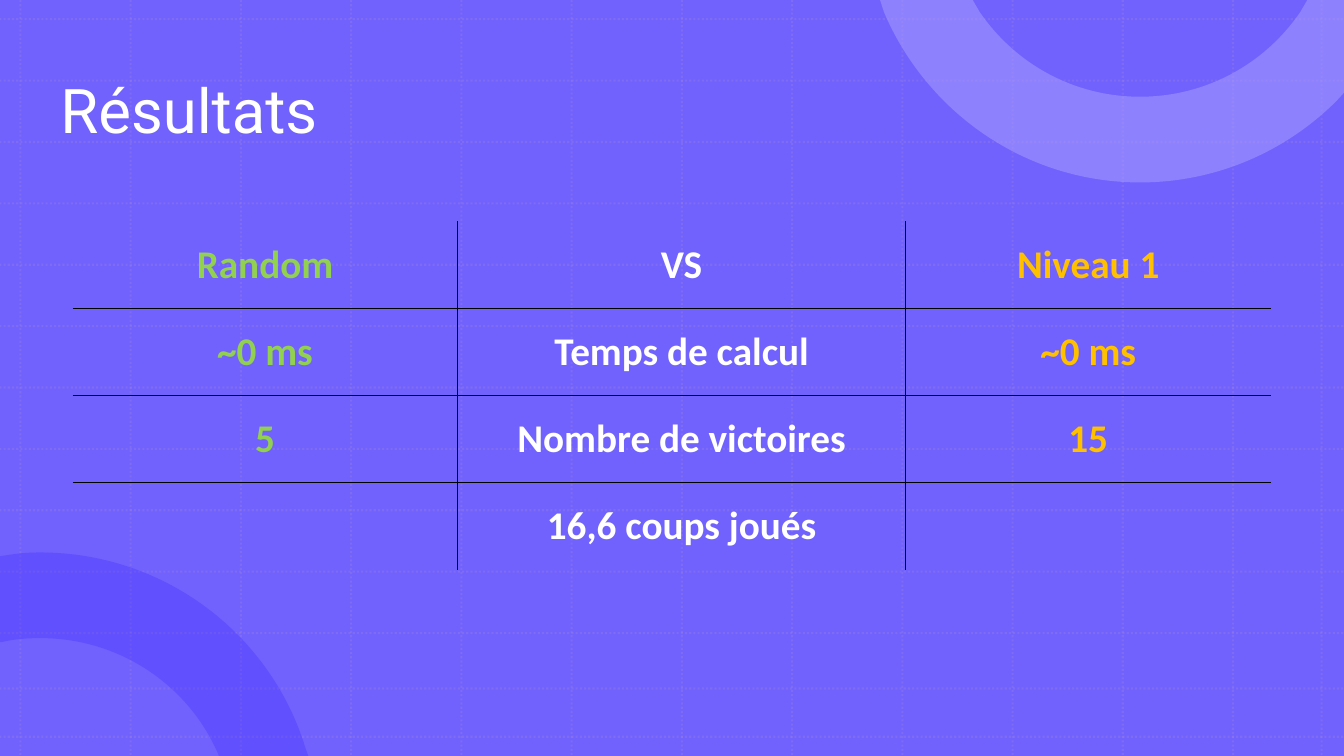
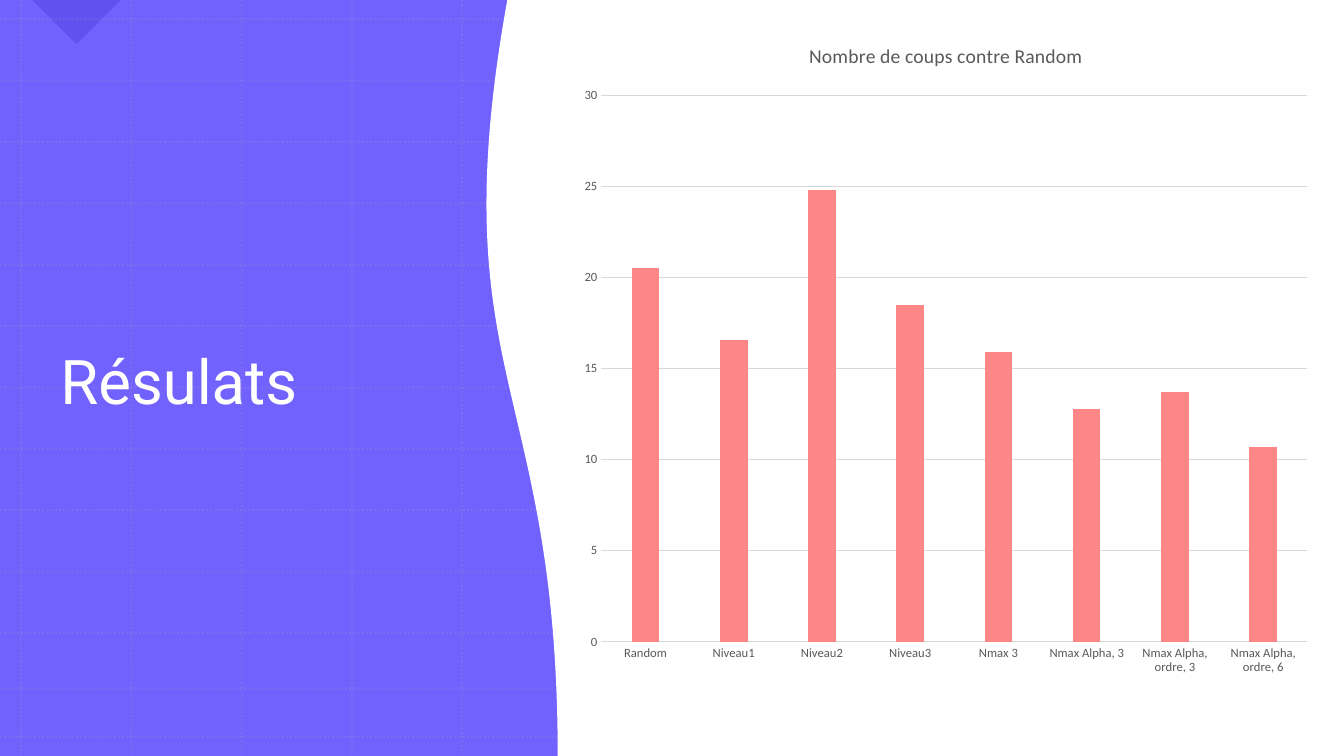
from dataclasses import dataclass

from lxml.etree import SubElement
from pptx import Presentation
from pptx.chart.data import CategoryChartData
from pptx.dml.color import RGBColor
from pptx.enum.chart import XL_CHART_TYPE, XL_TICK_MARK
from pptx.enum.dml import MSO_LINE
from pptx.enum.shapes import MSO_CONNECTOR, MSO_SHAPE
from pptx.enum.text import MSO_ANCHOR, PP_ALIGN
from pptx.oxml.ns import qn
from pptx.util import Pt


@dataclass(frozen=True)
class Theme:
    background: str = "7162FE"
    grid: str = "B495C2"
    dark_ring: str = "220BFD"
    light_ring: str = "AAA1FE"
    corner: str = "1201AF"
    white: str = "FFFFFF"
    border: str = "000000"
    green: str = "92D050"
    amber: str = "FFC000"
    bar: str = "FD8686"
    chart_text: str = "595959"
    chart_line: str = "D9D9D9"
    title_font: str = "Roboto"
    body_font: str = "Calibri"
    title_size: int = 44
    table_size: int = 28
    chart_title_size: int = 14
    axis_size: int = 9


theme = Theme()
WIDTH, HEIGHT = 960, 540


def paint(shape, colour, opacity=100):
    """Fill the shape plainly, with an opacity in percent and no line or shadow."""
    shape.shadow.inherit = False
    shape.line.fill.background()
    shape.fill.solid()
    shape.fill.fore_color.rgb = RGBColor.from_string(colour)
    if opacity < 100:
        for mark in shape.element.spPr.iter(qn("a:srgbClr")):
            SubElement(mark, qn("a:alpha"), val=str(opacity * 1000))


def draw_outline(page, start, segments):
    """Draw a closed outline; one point makes a line, three make a Bézier curve."""
    builder = page.shapes.build_freeform(*map(Pt, start))
    builder.add_line_segments([tuple(map(Pt, point)) for points in segments for point in points])
    shape = builder.convert_to_shape()
    outline = next(shape.element.iter(qn("a:path")))
    steps = iter(outline.findall(qn("a:lnTo")))
    for points in segments:
        nodes = [next(steps) for point in points]
        if len(points) == 3:
            curve = SubElement(outline, qn("a:cubicBezTo"))
            outline.replace(nodes[0], curve)
            for node in nodes:
                curve.append(node[0])
            for node in nodes[1:]:
                outline.remove(node)
    SubElement(outline, qn("a:close"))
    return shape


deck = Presentation()
deck.slide_width, deck.slide_height = Pt(WIDTH), Pt(HEIGHT)
layout = deck.slide_layouts[5]
for holder in list(layout.placeholders)[1:]:
    layout.shapes.element.remove(holder.element)

# Titles
pages = []
for text, place in [
    ("Résultats", (36, 28.8, 844.6, 104.4)),
    ("Résulats", (36, 56.9, 293.8, 435.6)),
]:
    page = deck.slides.add_slide(layout)
    title = page.shapes.title
    title.left, title.top, title.width, title.height = map(Pt, place)
    title.text_frame.text = text
    title.text_frame.word_wrap = True
    title.text_frame.vertical_anchor = MSO_ANCHOR.MIDDLE
    para = title.text_frame.paragraphs[0]
    para.alignment = PP_ALIGN.LEFT
    para.line_spacing = 0.9
    para.font.name = theme.title_font
    para.font.size = Pt(theme.title_size)
    para.font.color.rgb = RGBColor.from_string(theme.white)
    pages.append(page)
table_page, chart_page = pages

# Half rings of the layout
dark_ring = draw_outline(table_page, (28.8, 394.6), [
    [(118.1, 394.6), (193.7, 453.6), (218.2, 534.2)],
    [(220.3, 540)], [(156.2, 540)], [(156.2, 539.3)],
    [(135.4, 490.3), (86.4, 455.8), (28.8, 455.8)],
    [(19.4, 455.8), (10.1, 456.5), (1.4, 458.6)],
    [(-0.7, 458.6)], [(-0.7, 397.4)], [(8.6, 396)],
    [(15.1, 395), (22.3, 394.6), (28.8, 394.6)],
])
paint(dark_ring, theme.dark_ring, 20)
light_ring = draw_outline(table_page, (628.6, 0), [
    [(694.8, 0)], [(699.8, 8.6)],
    [(725, 45.4), (766.8, 69.1), (814.3, 69.1)],
    [(861.8, 69.1), (903.6, 45.4), (928.8, 8.6)],
    [(933.8, 0)], [(960, 0)], [(960, 66.2)], [(954.7, 72)],
    [(918.7, 108), (869, 130.3), (814.3, 130.3)],
    [(732.2, 130.3), (661.7, 79.9), (631.4, 8.6)],
])
paint(light_ring, theme.light_ring, 50)

corner = chart_page.shapes.add_shape(
    MSO_SHAPE.RIGHT_TRIANGLE, Pt(32.4), Pt(-22.3), Pt(44.6), Pt(44.6))
corner.rotation = 315
paint(corner, theme.corner, 17)

# Violet ground with a dotted grid: on the layout, and again behind the chart page
columns = [14.6 + 78.74 * i for i in range(12)] + [944]
rows = [13.7 + 43.85 * i for i in range(11)] + [491.8, 526.3]
for page, target, shift, width, before_grid, after_grid in [
    (table_page, layout, 0, WIDTH, [], [dark_ring, light_ring]),
    (chart_page, chart_page, 0.5, 961.2, [corner], []),
]:
    ground = page.shapes.add_shape(MSO_SHAPE.RECTANGLE, 0, 0, Pt(width), Pt(HEIGHT))
    paint(ground, theme.background)
    grid = page.shapes.add_group_shape()
    lines = [(x + shift, 0, x + shift, HEIGHT) for x in columns]
    lines += [(shift - 0.5, y, WIDTH, y) for y in rows]
    for ends in lines:
        rule = grid.shapes.add_connector(MSO_CONNECTOR.STRAIGHT, *map(Pt, ends))
        rule.line.color.rgb = RGBColor.from_string(theme.grid)
        rule.line.width = Pt(1.5)
        rule.line.dash_style = MSO_LINE.ROUND_DOT
        colour = next(rule.element.spPr.iter(qn("a:srgbClr")))
        SubElement(colour, qn("a:alpha"), val="20000")
        SubElement(rule.element.spPr, qn("a:effectLst"))
    for position, part in enumerate([ground, *before_grid, grid, *after_grid], 2):
        target.shapes.element.insert(position, part.element)

# White wave behind the chart
wave = draw_outline(chart_page, (961.2, 0), [
    [(960.5, 540)], [(398.9, 540)],
    [(398.9, 330.7), (348, 283.2), (348, 145.9)],
    [(348, 106.6), (352.1, 59.9), (362.9, 0)],
])
paint(wave, theme.white)
wave.line.color.rgb = RGBColor.from_string(theme.white)
wave.line.width = Pt(1)

# Results table with inner borders only
results = [
    ("Random", "VS", "Niveau 1"),
    ("~0 ms", "Temps de calcul", "~0 ms"),
    ("5", "Nombre de victoires", "15"),
    ("", "16,6 coups joués", ""),
]
column_widths = [275, 320.1, 260.9]
row_height = 62.25
last_row, last_column = len(results) - 1, len(column_widths) - 1
table = table_page.shapes.add_table(
    len(results), len(column_widths), Pt(51.8), Pt(158.1),
    Pt(sum(column_widths)), Pt(row_height * len(results))).table
table.first_row = table.horz_banding = False
for column, width in zip(table.columns, column_widths):
    column.width = Pt(width)
for r, texts in enumerate(results):
    table.rows[r].height = Pt(row_height)
    for c, (text, colour) in enumerate(zip(texts, (theme.green, theme.white, theme.amber))):
        cell = table.cell(r, c)
        cell.vertical_anchor = MSO_ANCHOR.MIDDLE
        properties = cell._tc.get_or_add_tcPr()
        inner_sides = {"L": c > 0, "R": c < last_column, "T": r > 0, "B": r < last_row}
        for side, inner in inner_sides.items():
            edge = SubElement(properties, qn(f"a:ln{side}"), w=str(Pt(1)))
            if inner:
                fill = SubElement(edge, qn("a:solidFill"))
                SubElement(fill, qn("a:srgbClr"), val=theme.border)
            else:
                SubElement(edge, qn("a:noFill"))
        cell.fill.background()
        if text:
            cell.text = text
            para = cell.text_frame.paragraphs[0]
            para.alignment = PP_ALIGN.CENTER
            span = para.runs[0]
            span.font.color.rgb = RGBColor.from_string(colour)
            for name, value in {"name": theme.body_font, "size": Pt(theme.table_size),
                                "bold": True}.items():
                setattr(span.font, name, value)

# Column chart
moves = {
    "Random": 20.5, "Niveau1": 16.6, "Niveau2": 24.8, "Niveau3": 18.5,
    "Nmax 3": 15.9, "Nmax Alpha, 3": 12.8,
    "Nmax Alpha, ordre, 3": 13.7, "Nmax Alpha, ordre, 6": 10.7,
}
data = CategoryChartData()
data.categories = list(moves)
data.add_series("Series 1", list(moves.values()))
chart = chart_page.shapes.add_chart(
    XL_CHART_TYPE.COLUMN_CLUSTERED, Pt(406.8), Pt(14.4), Pt(537.8), Pt(477.4), data).chart
chart.has_legend = False
chart.font.name = theme.body_font
chart.font.size = Pt(theme.axis_size)
chart.font.color.rgb = RGBColor.from_string(theme.chart_text)

chart.has_title = True
chart.chart_title.include_in_layout = False
chart.chart_title.text_frame.text = "Nombre de coups contre Random"
span = chart.chart_title.text_frame.paragraphs[0].runs[0]
span.font.name = theme.body_font
span.font.size = Pt(theme.chart_title_size)
span.font.bold = False
span.font.color.rgb = RGBColor.from_string(theme.chart_text)

plot = chart.plots[0]
plot.gap_width, plot.overlap = 219, -27
plot.vary_by_categories = False
bars = plot.series[0].format.fill
bars.solid()
bars.fore_color.rgb = RGBColor.from_string(theme.bar)

values, categories = chart.value_axis, chart.category_axis
for name, value in {"minimum_scale": 0, "maximum_scale": 30, "major_unit": 5,
                    "has_major_gridlines": True}.items():
    setattr(values, name, value)
for axis in (values, categories):
    axis.major_tick_mark = axis.minor_tick_mark = XL_TICK_MARK.NONE
values.format.line.fill.background()
for line in (values.major_gridlines.format.line, categories.format.line):
    line.width = Pt(0.75)
    line.color.rgb = RGBColor.from_string(theme.chart_line)

deck.save("out.pptx")
